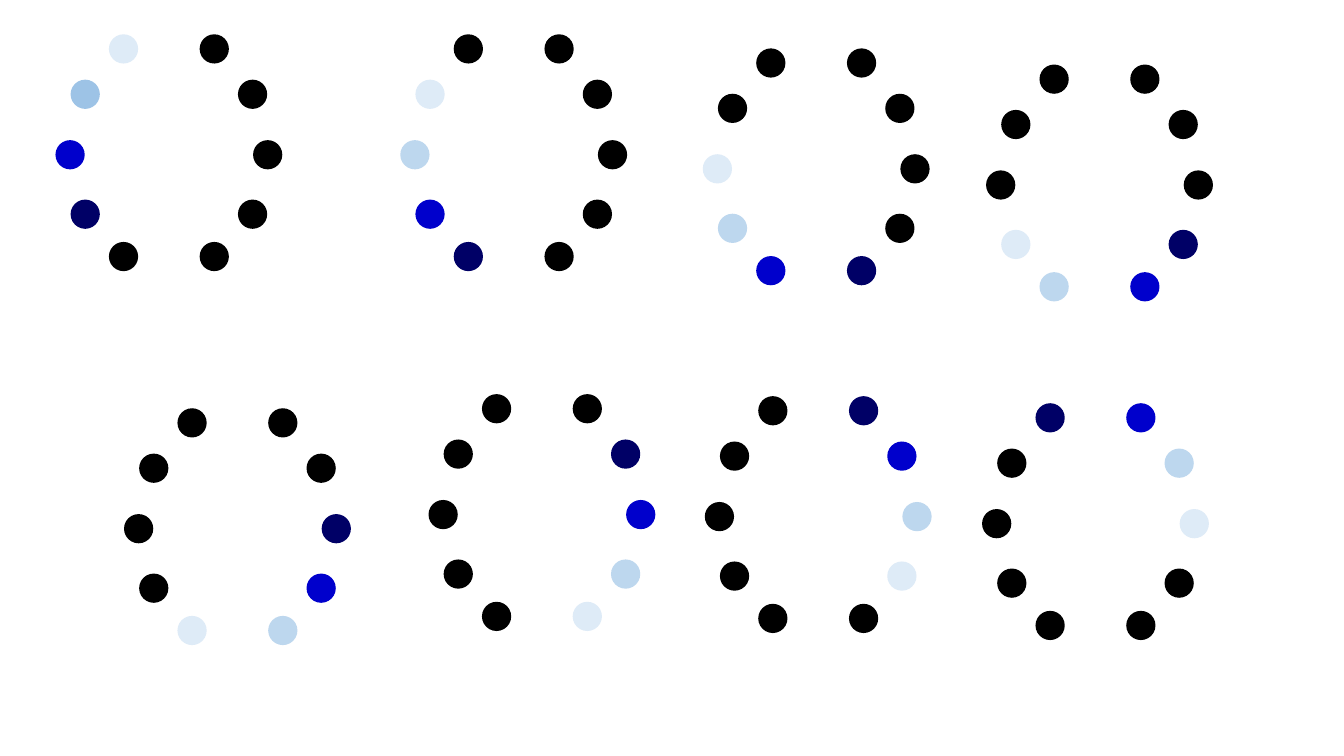
from pptx import Presentation
from pptx.dml.color import RGBColor
from pptx.enum.shapes import MSO_SHAPE
from pptx.util import Inches

OVAL = MSO_SHAPE.OVAL

BLACK = RGBColor(0x00, 0x00, 0x00)
NAVY = RGBColor(0x00, 0x00, 0x66)
BLUE = RGBColor(0x00, 0x00, 0xCC)
SKY = RGBColor(0x9D, 0xC3, 0xE6)
LIGHT = RGBColor(0xBD, 0xD7, 0xEE)
PALE = RGBColor(0xDE, 0xEB, 0xF7)

# Left and top of each spinner frame, in order of rotation
FRAMES = [
    (0.55, 0.34), (3.97, 0.34), (6.97, 0.48), (9.78, 0.64),
    (1.23, 4.05), (4.25, 3.91), (6.99, 3.93), (9.74, 4.0),
]
FIRST_TRAIL = [PALE, SKY, BLUE, NAVY]
TRAIL = [PALE, LIGHT, BLUE, NAVY]

# Dots of a ring: left half from top to bottom, then its mirror going up
DOT_SIZE = 0.29
MIRROR_SPAN = 1.96
LEFT_HALF = [(0.53, 0), (0.15, 0.45), (0, 1.05), (0.15, 1.64), (0.53, 2.06)]
RIGHT_HALF = [(MIRROR_SPAN - x, y) for x, y in reversed(LEFT_HALF)]
RING = LEFT_HALF + RIGHT_HALF


def add_dot(slide, left, top, color):
    dot = slide.shapes.add_shape(
        OVAL, Inches(left), Inches(top), Inches(DOT_SIZE), Inches(DOT_SIZE))
    dot.shadow.inherit = False
    dot.fill.solid()
    dot.fill.fore_color.rgb = color
    dot.line.fill.background()


def add_frame(slide, step, left, top):
    # The coloured trail moves one dot further with each frame
    colors = [BLACK] * len(RING)
    for offset, color in enumerate(TRAIL if step else FIRST_TRAIL):
        colors[(step + offset) % len(RING)] = color
    for (x, y), color in zip(RING, colors):
        add_dot(slide, left + x, top + y, color)


def main():
    prs = Presentation()
    prs.slide_width = Inches(13.33)
    prs.slide_height = Inches(7.5)
    slide = prs.slides.add_slide(prs.slide_layouts[6])
    for step, (left, top) in enumerate(FRAMES):
        add_frame(slide, step, left, top)
    prs.save("out.pptx")


if __name__ == "__main__":
    main()
